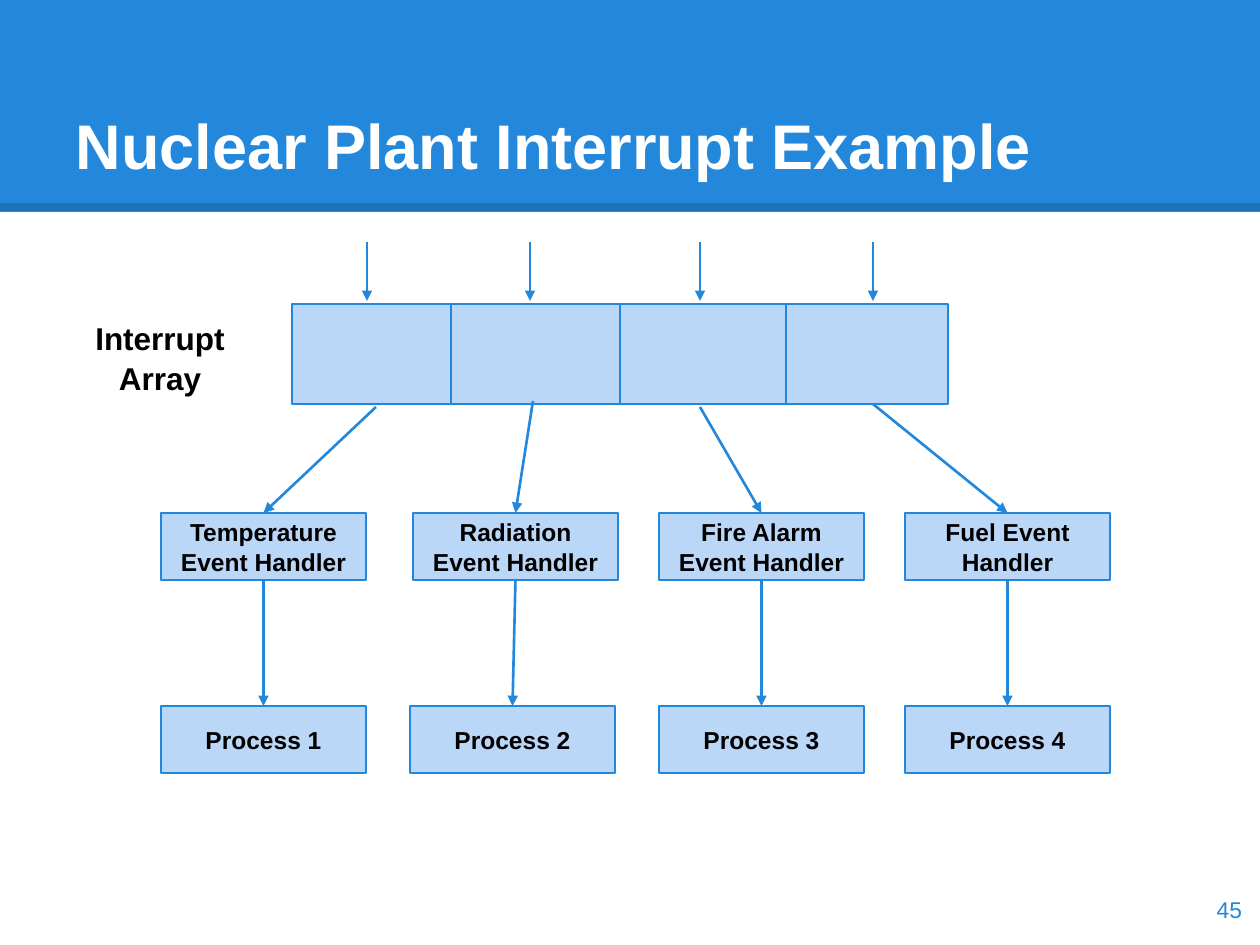
from lxml.etree import SubElement
from pptx import Presentation
from pptx.dml.color import RGBColor
from pptx.enum.shapes import MSO_CONNECTOR, MSO_SHAPE
from pptx.enum.text import MSO_ANCHOR, PP_ALIGN
from pptx.oxml.ns import qn
from pptx.util import Emu, Pt

BLUE, PALE, BLACK, WHITE = "2388DB", "BBD7F8", "000000", "FFFFFF"
INSET = 13


def px(n):
    return Emu(round(n * 914400 / 126))


def color(code):
    return RGBColor.from_string(code)


def write(shape, text, size, code, bold=True, align=PP_ALIGN.CENTER,
          anchor=MSO_ANCHOR.MIDDLE):
    frame = shape.text_frame
    frame.word_wrap = True
    frame.vertical_anchor = anchor
    frame.margin_left = frame.margin_right = px(INSET)
    frame.margin_top = frame.margin_bottom = px(INSET)
    para = frame.paragraphs[0]
    para.text = text
    para.alignment = align
    font = para.font
    font.name, font.size, font.bold = "Arial", Pt(size), bold
    font.color.rgb = color(code)
    return para


def label(slide, box, *args, **style):
    shape = slide.shapes.add_textbox(*map(px, box))
    return write(shape, *args, **style)


def rect(slide, box, fill, edge=None, text=None):
    shape = slide.shapes.add_shape(MSO_SHAPE.RECTANGLE, *map(px, box))
    shape.shadow.inherit = False
    shape.fill.solid()
    shape.fill.fore_color.rgb = color(fill)
    if edge:
        shape.line.color.rgb = color(edge)
        shape.line.width = Pt(1.5)
    else:
        shape.line.fill.background()
    if text:
        write(shape, text, 14, BLACK)
    return shape


def line(slide, start, end, code=BLUE, width=1.5):
    link = slide.shapes.add_connector(
        MSO_CONNECTOR.STRAIGHT, *map(px, (*start, *end)))
    link.line.color.rgb = color(code)
    link.line.width = Pt(width)
    SubElement(link._element.spPr, qn("a:effectLst"))
    return link


def arrow(slide, start, end):
    link = line(slide, start, end)
    SubElement(link.line._get_or_add_ln(), qn("a:tailEnd"), type="triangle")
    return link


def header(slide):
    rect(slide, (0, 0, 1260, 212), BLUE)
    rule = line(slide, (0, 207), (1260, 207), BLACK, 4.5)
    tone = rule._element.spPr.find(".//" + qn("a:srgbClr"))
    SubElement(tone, qn("a:alpha"), val="15000")
    label(slide, (63, 38, 1134, 157), "Nuclear Plant Interrupt Example",
          36, WHITE, align=PP_ALIGN.LEFT, anchor=MSO_ANCHOR.BOTTOM)


def array(slide):
    top, high = 304, 100
    rect(slide, (292, top, 656, high), PALE, BLUE)
    for x in (451, 620, 786):
        line(slide, (x, top), (x, top + high))
    para = label(slide, (55, top, 210, 81), "Interrupt Array", 18, BLACK,
                 anchor=MSO_ANCHOR.TOP)
    para.line_spacing = 1.05
    # Incoming interrupts
    for x in (367, 530, 700, 873):
        arrow(slide, (x, 242), (x, 301))


def chain(slide, name, number, start, left, low):
    """One handler, its process and the arrows that lead to them."""
    wide, high, top, base = 205, 67, 513, 706
    task = rect(slide, (left, top, wide, high), PALE, BLUE, name)
    proc = rect(slide, (low, base, wide, high), PALE, BLUE,
                f"Process {number}")
    arrow(slide, start, (left, top)).end_connect(task, 0)
    link = arrow(slide, (left, top + high), (low, base))
    link.begin_connect(task, 2)
    link.end_connect(proc, 0)


def main():
    deck = Presentation()
    deck.slide_width, deck.slide_height = px(1260), px(945)
    slide = deck.slides.add_slide(deck.slide_layouts[6])

    header(slide)
    array(slide)

    # Event, arrow start, handler left, process left
    events = (
        ("Temperature Event Handler", (376, 407), 161, 161),
        ("Radiation Event Handler", (533, 401), 413, 410),
        ("Fire Alarm Event Handler", (700, 407), 659, 659),
        ("Fuel Event Handler", (873, 404), 905, 905),
    )
    for number, (name, start, left, low) in enumerate(events, 1):
        chain(slide, name, number, start, left, low)

    # Slide number
    label(slide, (1179, 873, 76, 72), "45", 13, BLUE, bold=False,
          align=PP_ALIGN.RIGHT)
    deck.save("out.pptx")


if __name__ == "__main__":
    main()
